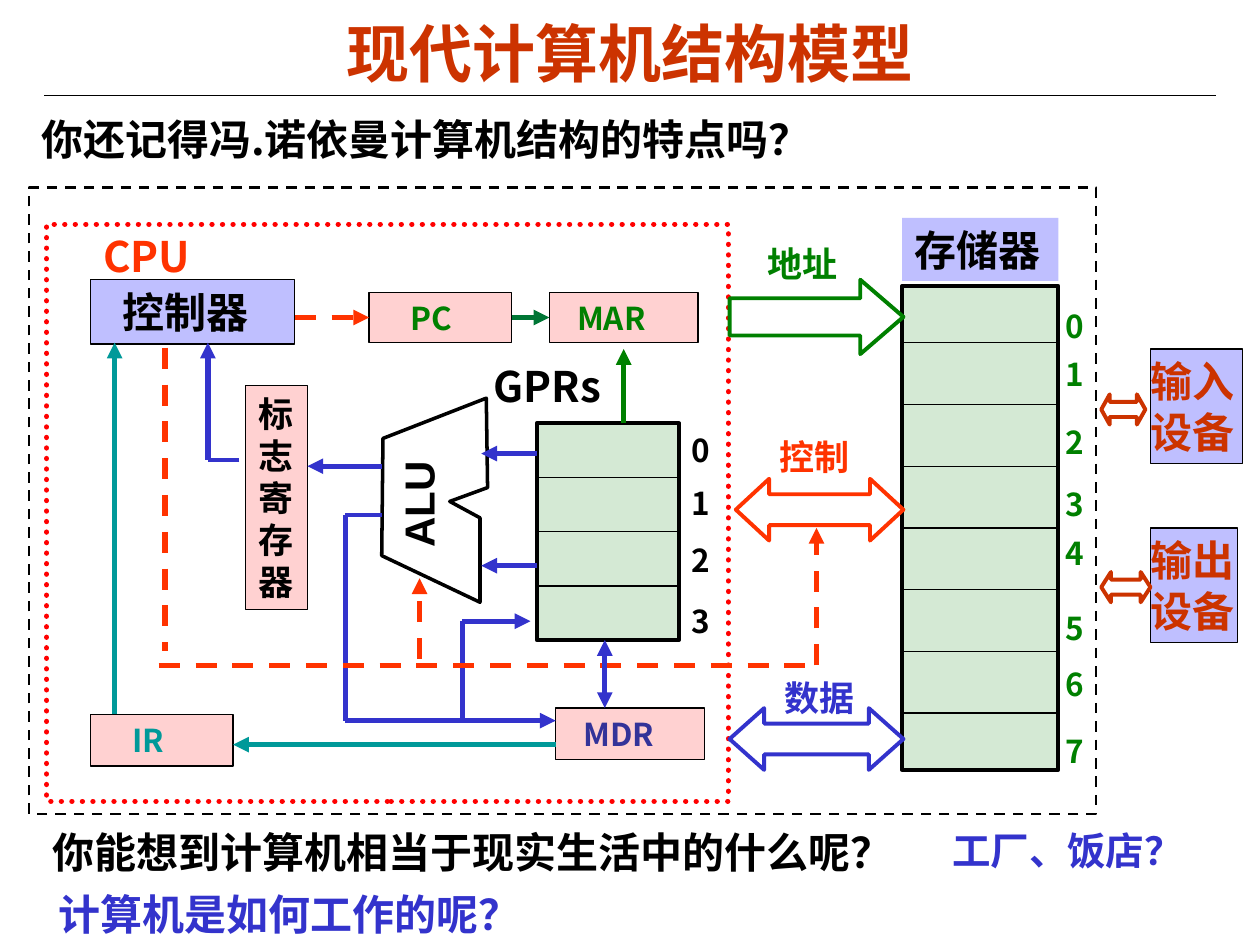
"""Build the slide showing the structure model of a modern computer."""
from lxml import etree
from pptx import Presentation
from pptx import util as u
from pptx.dml.color import RGBColor
from pptx.enum import dml, shapes, text
from pptx.oxml.ns import qn


class Theme:
    black, white = "000000", "FFFFFF"
    brick, orange, red = "CC3300", "FF3300", "FF0000"
    blue, navy, teal = "3333CC", "333399", "009999"
    green, deep_green = "008000", "007635"
    lilac, pink, mint = "BFBFFF", "FFD1D1", "D4E9D4"
    font, title_font = "Noto Sans CJK SC", "Arial"
    title_size, head, answer, label, small = 36, 24, 22, 20, 18
    thin, frame, outline, heavy = 0.75, 1.5, 2.25, 3


KIND = shapes.MSO_SHAPE
DASH = dml.MSO_LINE.DASH
prs = Presentation()
prs.slide_width, prs.slide_height = u.Inches(10), u.Inches(7.5)
slide = prs.slides.add_slide(prs.slide_layouts[5])


def add_box(place, lines=(), size=Theme.head, color=Theme.black, kind=None, fill=None,
            line=None, weight=Theme.thin, inset=0.1, font=Theme.font):
    at = [u.Inches(length) for length in place]
    if kind is None:
        box = slide.shapes.add_textbox(*at)
    else:
        box = slide.shapes.add_shape(kind, *at)
        box.shadow.inherit = False
        if fill:
            box.fill.solid()
            box.fill.fore_color.rgb = RGBColor.from_string(fill)
        else:
            box.fill.background()
        if line:
            box.line.color.rgb = RGBColor.from_string(line)
            box.line.width = u.Pt(weight)
        else:
            box.line.fill.background()
    frame = box.text_frame
    frame.word_wrap = True
    frame.vertical_anchor = text.MSO_ANCHOR.MIDDLE
    frame.margin_left, frame.margin_right = u.Inches(inset), u.Inches(0)
    for index, words in enumerate(lines):
        paragraph = frame.add_paragraph() if index else frame.paragraphs[0]
        paragraph.alignment = text.PP_ALIGN.LEFT
        paragraph.line_spacing = u.Pt(size * 1.2)
        run = paragraph.add_run()
        run.text = words
        run.font.name, run.font.size, run.font.bold = font, u.Pt(size), True
        run.font.color.rgb = RGBColor.from_string(color)
        etree.SubElement(run.font._element, qn("a:ea"), typeface=font)
    return box


def add_wire(start, end, color, weight=Theme.heavy, dash=None, heads=("tailEnd",),
             source=None, target=None):
    wire = slide.shapes.add_connector(shapes.MSO_CONNECTOR.STRAIGHT,
                                      *[u.Inches(length) for length in (*start, *end)])
    if source:
        wire.begin_connect(*source)
    if target:
        wire.end_connect(*target)
    wire.line.color.rgb = RGBColor.from_string(color)
    wire.line.width = u.Pt(weight)
    if dash:
        wire.line.dash_style = dash
    properties = wire._element.spPr
    for head in heads:
        etree.SubElement(properties.find(qn("a:ln")), qn(f"a:{head}"), type="triangle")
    etree.SubElement(properties, qn("a:effectLst"))


title = slide.shapes.title
title.left, title.top = u.Inches(0.5), u.Inches(0.11)
title.width, title.height = u.Inches(9), u.Inches(0.61)
title.text_frame.vertical_anchor = text.MSO_ANCHOR.MIDDLE
heading = title.text_frame.paragraphs[0]
heading.alignment = text.PP_ALIGN.CENTER
run = heading.add_run()
run.text = "现代计算机结构模型"
run.font.name, run.font.size, run.font.bold = Theme.title_font, u.Pt(Theme.title_size), True
run.font.color.rgb = RGBColor.from_string(Theme.brick)
add_wire((0.35, 0.76), (9.65, 0.76), Theme.black, Theme.thin, heads=())

for place, words, size, color in [
    ((0.23, 0.85, 6.94, 0.5), "你还记得冯.诺依曼计算机结构的特点吗？", Theme.head, Theme.black),
    ((0.32, 6.51, 6.94, 0.5), "你能想到计算机相当于现实生活中的什么呢？", Theme.head, Theme.black),
    ((7.46, 6.51, 2.03, 0.47), "工厂、饭店？", Theme.answer, Theme.blue),
    ((0.37, 7, 7.53, 0.5), "计算机是如何工作的呢？", Theme.head, Theme.blue),
    ((0.72, 1.78, 0.93, 0.5), "CPU", Theme.head, Theme.orange),
    ((3.82, 2.81, 1.28, 0.5), "GPRs", Theme.head, Theme.black),
    ((5.99, 1.88, 0.94, 0.43), "地址", Theme.label, Theme.green),
    ((6.09, 3.41, 0.94, 0.43), "控制", Theme.label, Theme.orange),
    ((6.13, 5.32, 0.84, 0.43), "数据", Theme.label, Theme.blue),
]:
    add_box(place, [words], size, color)

host = add_box((0.23, 1.49, 8.47, 4.97), kind=KIND.RECTANGLE,
               line=Theme.black, weight=Theme.frame)
host.line.dash_style = DASH
cpu = add_box((0.37, 1.78, 5.41, 4.58), kind=KIND.RECTANGLE,
              line=Theme.red, weight=Theme.heavy)
cpu.line.dash_style = dml.MSO_LINE.ROUND_DOT
cpu._element.spPr.find(qn("a:ln")).set("cap", "rnd")

units = {}
for name, place, color, inset in [
    ("PC", (2.93, 2.32, 1.13, 0.4), Theme.green, 0.33),
    ("MAR", (4.36, 2.32, 1.18, 0.4), Theme.green, 0.22),
    ("MDR", (4.41, 5.62, 1.18, 0.41), Theme.navy, 0.22),
    ("IR", (0.72, 5.67, 1.13, 0.41), Theme.teal, 0.33),
]:
    units[name] = add_box(place, [name], Theme.small, color, KIND.RECTANGLE,
                          Theme.pink, Theme.black, inset=inset)
add_box((0.72, 2.22, 1.62, 0.51), ["控制器"], kind=KIND.RECTANGLE,
        fill=Theme.lilac, line=Theme.black, inset=0.25)
add_box((1.95, 3.06, 0.49, 1.78), list("标志寄存器"), Theme.label, kind=KIND.RECTANGLE,
        fill=Theme.pink, line=Theme.black)
add_box((7.16, 1.73, 1.24, 0.5), ["存储器"], kind=KIND.RECTANGLE, fill=Theme.lilac)

for place, lines in [((9.13, 2.77, 0.73, 0.91), ["输入", "设备"]),
                     ((9.13, 4.19, 0.69, 0.91), ["输出", "设备"])]:
    add_box(place, lines, color=Theme.brick, kind=KIND.RECTANGLE,
            fill=Theme.lilac, line=Theme.black, inset=0)

alu_outline = [(3.86, 3.16), (3.04, 3.48), (3.03, 4.41), (3.81, 4.78),
               (3.81, 4.11), (3.57, 3.98), (3.87, 3.87)]
corners = [(u.Inches(x), u.Inches(y)) for x, y in alu_outline]
builder = slide.shapes.build_freeform(*corners[0])
builder.add_line_segments(corners[1:], close=True)
alu = builder.convert_to_shape()
alu.shadow.inherit = False
alu.fill.background()
alu.line.color.rgb = RGBColor.from_string(Theme.black)
alu.line.width = u.Pt(2)
add_box((2.87, 3.77, 0.89, 0.46), ["ALU"], font=Theme.title_font).rotation = 270

for place, first, step, middle, number_left, number_tops, color in [
    ((4.26, 3.36, 1.13, 1.72), 3.79, 0.43, 1, 5.39, (3.37, 3.79, 4.24, 4.73), Theme.black),
    ((7.16, 2.27, 1.24, 3.84), 2.72, 0.49, 3, 8.36,
     (2.39, 2.77, 3.31, 3.8, 4.19, 4.78, 5.23, 5.76), Theme.green),
]:
    cells = add_box(place, kind=KIND.RECTANGLE, fill=Theme.mint,
                    line=Theme.black, weight=Theme.outline)
    left, right = place[0], place[0] + place[2]
    for number, top in enumerate(number_tops):
        add_box((number_left, top, 0.35, 0.4), [str(number)], Theme.small, color)
    for row in range(len(number_tops) - 1):
        y = first + row * step
        sides = {"source": (cells, 1), "target": (cells, 3)} if row == middle else {}
        add_wire((left, y), (right, y), Theme.black, Theme.thin, heads=(), **sides)

for place, kind, depth, color in [
    ((5.79, 2.22, 1.38, 0.59), KIND.RIGHT_ARROW, 0.58, Theme.green),
    ((5.84, 3.8, 1.33, 0.49), KIND.LEFT_RIGHT_ARROW, 0.54, Theme.orange),
    ((5.79, 5.62, 1.38, 0.49), KIND.LEFT_RIGHT_ARROW, 0.56, Theme.blue),
    ((8.74, 3.13, 0.35, 0.24), KIND.LEFT_RIGHT_ARROW, 0.28, Theme.brick),
    ((8.74, 4.54, 0.39, 0.24), KIND.LEFT_RIGHT_ARROW, 0.32, Theme.brick),
]:
    bus = add_box(place, kind=kind, fill=Theme.white, line=color, weight=Theme.outline)
    bus.adjustments[0], bus.adjustments[1] = 0.5, depth

for start, end, color in [
    ((4.26, 3.6), (3.82, 3.6), Theme.blue),
    ((4.26, 4.49), (3.82, 4.49), Theme.blue),
    ((3.03, 3.7), (2.44, 3.7), Theme.blue),
    ((1.65, 3.65), (1.65, 2.72), Theme.blue),
    ((2.74, 5.72), (4.41, 5.72), Theme.blue),
    ((3.67, 4.93), (4.21, 4.93), Theme.blue),
    ((4.95, 3.36), (4.95, 2.77), Theme.green),
    ((4.41, 5.91), (1.85, 5.91), Theme.teal),
    ((0.91, 5.67), (0.91, 2.72), Theme.teal),
]:
    add_wire(start, end, color)
for start, end, weight in [
    ((1.9, 3.65), (1.65, 3.65), Theme.outline),
    ((3.03, 4.09), (2.74, 4.09), Theme.outline),
    ((2.74, 4.09), (2.74, 5.72), Theme.heavy),
    ((3.67, 5.72), (3.67, 4.93), Theme.heavy),
]:
    add_wire(start, end, Theme.blue, weight, heads=())
for start, end, heads in [
    ((1.26, 5.28), (6.43, 5.28), ()),
    ((1.31, 2.76), (1.31, 5.17), ()),
    ((3.33, 5.23), (3.33, 4.59), ("tailEnd",)),
    ((6.48, 5.28), (6.48, 4.19), ("tailEnd",)),
]:
    add_wire(start, end, Theme.orange, dash=DASH, heads=heads)
add_wire((4.8, 5.08), (4.8, 5.62), Theme.blue, heads=("headEnd", "tailEnd"))
add_wire((2.34, 2.52), (2.93, 2.52), Theme.orange, dash=DASH, target=(units["PC"], 1))
add_wire((4.06, 2.52), (4.36, 2.52), Theme.deep_green,
         source=(units["PC"], 3), target=(units["MAR"], 1))

prs.save("out.pptx")
